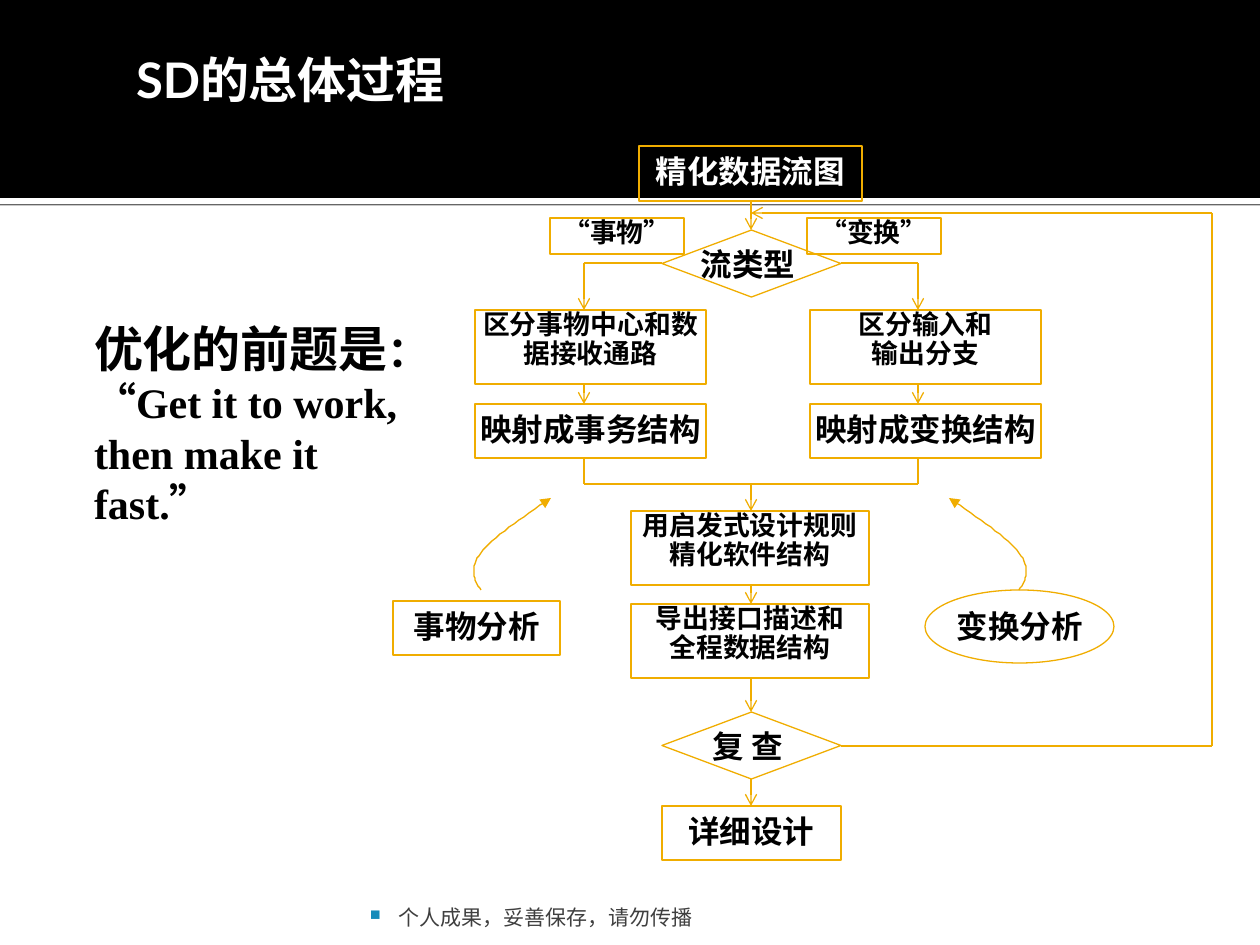
from dataclasses import dataclass

from lxml import etree
from pptx import Presentation
from pptx.dml.color import RGBColor
from pptx.enum.shapes import MSO_CONNECTOR, MSO_SHAPE
from pptx.enum.text import MSO_ANCHOR, PP_ALIGN
from pptx.oxml.ns import qn
from pptx.util import Emu, Pt

RECT, DIAMOND, OVAL = MSO_SHAPE.RECTANGLE, MSO_SHAPE.DIAMOND, MSO_SHAPE.OVAL
STRAIGHT = MSO_CONNECTOR.STRAIGHT
TOP, BOTTOM = MSO_ANCHOR.TOP, MSO_ANCHOR.BOTTOM
LEFT, CENTER = PP_ALIGN.LEFT, PP_ALIGN.CENTER
SCALE = 914400 / 126


@dataclass(frozen=True)
class Theme:
    black: str = "000000"
    white: str = "FFFFFF"
    gold: str = "F0AD00"
    blue: str = "168BBA"
    grey: str = "3F3F3F"
    heading: str = "Lato"
    serif: str = "Times New Roman"
    asian: str = "Noto Sans CJK SC"
    title: float = 28
    quote: float = 24
    normal: float = 18
    small: float = 15.3
    footer: float = 12
    line: float = 0.75


THEME = Theme()
WIDE = (13, 6, 13, 6)
TIGHT = (2, 1, 2, 1)
LOW = (2, 6, 2, 1)


def px(length):
    return Emu(round(length * SCALE))


def add_child(parent, tag, **attributes):
    return etree.SubElement(parent, qn(tag), attributes)


def write(shape, paragraphs, size=THEME.normal, font=THEME.serif, color=THEME.black,
          bold=True, insets=LOW, anchor=TOP, **para_format):
    """Fill a shape with paragraphs; each is a string or a list of (text, size)."""
    frame = shape.text_frame
    sides = ("margin_left", "margin_top", "margin_right", "margin_bottom")
    frame_format = dict(zip(sides, map(px, insets)), word_wrap=True, vertical_anchor=anchor)
    for name, value in frame_format.items():
        setattr(frame, name, value)
    for index, content in enumerate(paragraphs):
        para = frame.add_paragraph() if index else frame.paragraphs[0]
        for name, value in ({"alignment": CENTER} | para_format).items():
            setattr(para, name, value)
        spans = [(content, size)] if isinstance(content, str) else content
        for text, points in spans:
            span = para.add_run()
            span.text = text
            for name, value in {"name": font, "size": Pt(points), "bold": bold}.items():
                setattr(span.font, name, value)
            span.font.color.rgb = RGBColor.from_string(color)
            add_child(span.font._element, "a:ea", typeface=THEME.asian)


def add_text(page, place, paragraphs, **text_format):
    box = page.shapes.add_textbox(*map(px, place))
    write(box, paragraphs, **text_format)
    return box


def add_band(page, place, color):
    band = page.shapes.add_shape(RECT, *map(px, place))
    band.shadow.inherit = False
    band.fill.solid()
    band.fill.fore_color.rgb = RGBColor.from_string(color)
    band.line.fill.background()
    return band


def style_outline(item, head=None, tail=None):
    item.line.color.rgb = RGBColor.from_string(THEME.gold)
    item.line.width = Pt(THEME.line)
    outline = item.line._get_or_add_ln()
    for tag, kind in (("a:headEnd", head), ("a:tailEnd", tail)):
        if kind:
            add_child(outline, tag, type=kind)


def add_node(page, kind, place, paragraphs=(), **text_format):
    node = page.shapes.add_shape(kind, *map(px, place))
    node.shadow.inherit = False
    node.fill.background()
    style_outline(node)
    if paragraphs:
        write(node, paragraphs, **text_format)


def add_line(page, start, end, **arrows):
    line = page.shapes.add_connector(STRAIGHT, *map(px, start + end))
    style_outline(line, **arrows)
    add_child(line._element.spPr, "a:effectLst")


def bezier(points, steps=16):
    """Sample a cubic curve given by four control points."""
    for step in range(1, steps + 1):
        t = step / steps
        weights = ((1 - t) ** 3, 3 * t * (1 - t) ** 2, 3 * t * t * (1 - t), t ** 3)
        yield tuple(sum(w * p[axis] for w, p in zip(weights, points)) for axis in (0, 1))


def add_curve(page, controls):
    builder = page.shapes.build_freeform(*controls[0], scale=SCALE)
    for first in range(0, len(controls) - 1, 3):
        builder.add_line_segments(bezier(controls[first:first + 4]), close=False)
    curve = builder.convert_to_shape()
    curve.shadow.inherit = False
    curve.fill.background()
    style_outline(curve, tail="triangle")


def add_background(page):
    rule = add_band(page, (0, 198, 1260, 6), THEME.white)
    shadow = add_child(rule._element.spPr.find(qn("a:effectLst")), "a:outerShdw",
                       blurRad="0", dist="10160", dir="5400000", algn="t", rotWithShape="0")
    shade = add_child(shadow, "a:srgbClr", val=THEME.black)
    add_child(shade, "a:alpha", val="60000")
    add_band(page, (0, 0, 1260, 198), THEME.black)


def add_footer(page):
    box = add_text(page, (364, 892, 759, 38), ["个人成果，妥善保存，请勿传播"], size=THEME.footer,
                   font=THEME.heading, color=THEME.grey, bold=False, insets=(6, 6, 6, 0),
                   anchor=BOTTOM, alignment=LEFT, line_spacing=0.8, space_before=Pt(3))
    props = box.text_frame.paragraphs[0]._p.get_or_add_pPr()
    props.set("marL", str(px(29)))
    props.set("indent", str(px(-29)))
    add_child(add_child(props, "a:buClr"), "a:srgbClr", val=THEME.blue)
    add_child(props, "a:buSzPct", val="70000")
    add_child(props, "a:buChar", char="■")


def add_flowchart(page):
    middle, left, right, loop = 751, 584, 918, 1212
    two_line = {"size": THEME.small, "insets": TIGHT, "line_spacing": 0.9}

    # Start and branch labels
    for x, label in ((807, "“变换”"), (550, "“事物”")):
        add_node(page, RECT, (x, 218, 134, 36), [label], **two_line)
    add_node(page, RECT, (639, 146, 223, 55), ["精化数据流图"], color=THEME.white, insets=WIDE)

    # Decisions
    for y, label, font in ((230, "流类型", THEME.serif), (712, "复 查", THEME.asian)):
        add_node(page, DIAMOND, (662, y, 179, 67))
        add_text(page, (689, y + 14, 118, 55), [label], font=font, insets=TIGHT)

    # The two branches
    branches = (
        (475, left, 662, ["区分事物中心和数据接收通路"], "映射成事务结构"),
        (810, right, 841, ["区分输入和", "输出分支"], "映射成变换结构"),
    )
    for x, axis, corner, split, mapping in branches:
        add_node(page, RECT, (x, 310, 231, 74), split, **two_line)
        add_node(page, RECT, (x, 404, 231, 54), [mapping])
        add_line(page, (axis, 263), (corner, 263))
        add_line(page, (axis, 263), (axis, 310), tail="arrow")
        add_line(page, (axis, 384), (axis, 404), tail="arrow")
        add_line(page, (axis, 458), (axis, 484))
    add_line(page, (left, 484), (right, 484))

    # Common steps
    for y, lines in ((511, ["用启发式设计规则精化软件结构"]), (604, ["导出接口描述和", "全程数据结构"])):
        add_node(page, RECT, (631, y, 238, 74), lines, **two_line)
    add_node(page, RECT, (662, 806, 179, 54), ["详细设计"])
    for start, end in ((201, 230), (484, 511), (585, 604), (679, 712), (779, 806)):
        add_line(page, (middle, start), (middle, end), tail="arrow")

    # Names of the two analyses, with mirrored curved pointers
    add_text(page, (937, 601, 166, 54), ["变换分析"])
    add_node(page, OVAL, (925, 590, 189, 73))
    add_node(page, RECT, (393, 601, 167, 54), ["事物分析"])
    pointer = [(1019, 590), (1026, 580), (1031, 568), (1019, 553),
               (1008, 538), (978, 518), (949, 498)]
    add_curve(page, pointer)
    add_curve(page, [(1500 - x, y) for x, y in pointer])

    # Review loop
    add_line(page, (841, 746), (loop, 746))
    add_line(page, (loop, 213), (loop, 746))
    add_line(page, (middle, 213), (loop, 213), head="arrow")


def main():
    deck = Presentation()
    deck.slide_width, deck.slide_height = px(1260), px(945)
    page = deck.slides.add_slide(deck.slide_layouts[6])
    add_background(page)
    add_footer(page)
    add_flowchart(page)
    # Remark and title
    remark = [("优化的前题是", THEME.title), ("：“Get it to work, then make it fast.”", THEME.quote)]
    add_text(page, (81, 312, 357, 223), [remark], insets=WIDE, alignment=LEFT, space_before=Pt(15))
    add_text(page, (123, 55, 397, 60), ["SD的总体过程"], size=THEME.title, font=THEME.heading,
             color=THEME.white, insets=WIDE, alignment=LEFT, line_spacing=0.8, space_before=Pt(7))
    deck.save("out.pptx")


if __name__ == "__main__":
    main()
